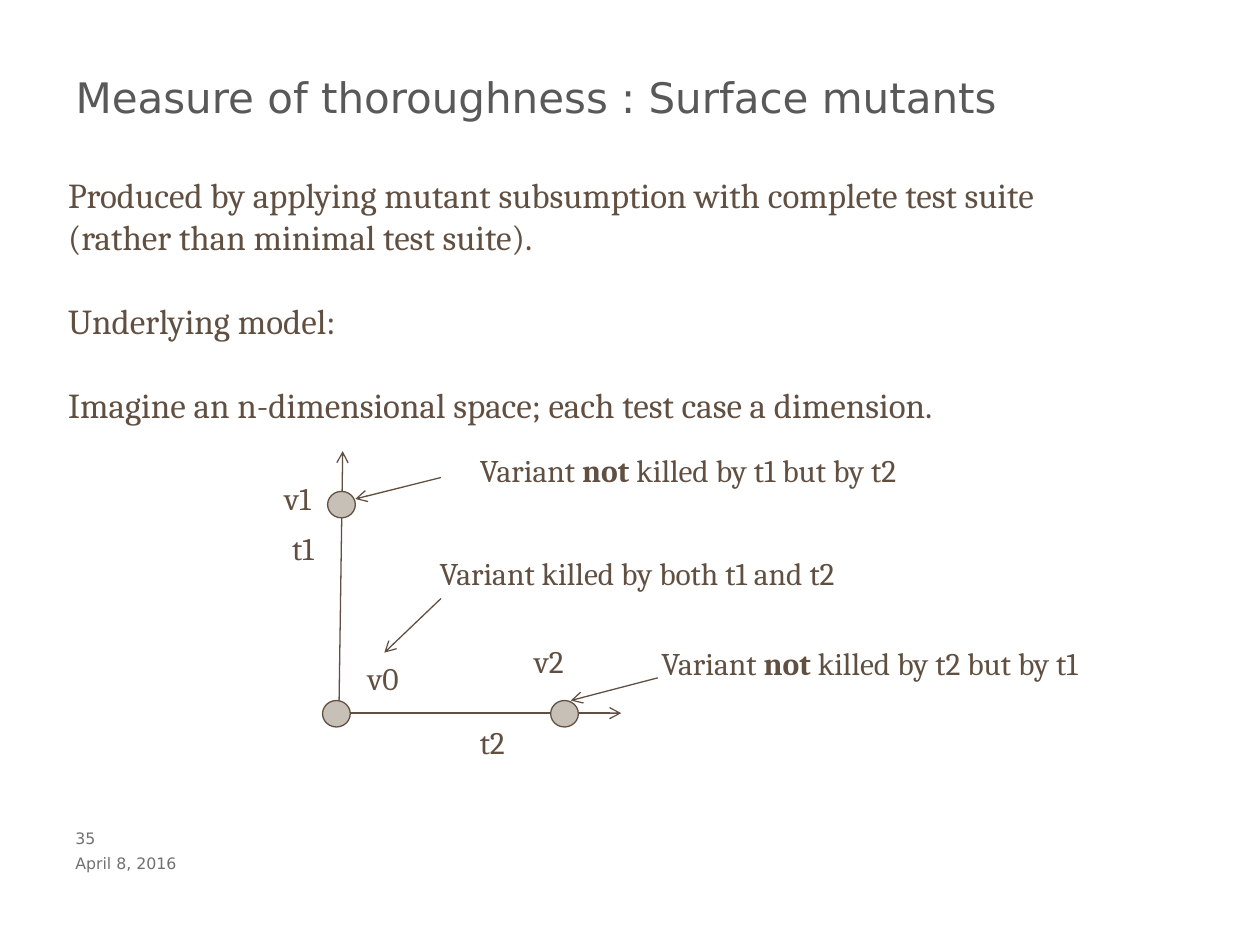
from lxml.etree import SubElement
from pptx import Presentation
from pptx.dml.color import RGBColor
from pptx.enum.shapes import MSO_CONNECTOR, MSO_SHAPE
from pptx.enum.text import MSO_ANCHOR, PP_ALIGN
from pptx.oxml.ns import qn
from pptx.util import Inches, Pt

BROWN, STONE, TITLE, GREY = "615042", "C6C0B7", "595959", "717171"


def paint(fmt, colour):
    fmt.rgb = RGBColor.from_string(colour)


def write(p, text, size=18, font="Cambria", colour=BROWN, before=0):
    p.alignment = PP_ALIGN.LEFT
    p.space_before = Pt(before)
    p.line_spacing = 1.0
    for i, part in enumerate(text.split("*")):
        r = p.add_run()
        r.text = part
        r.font.size = Pt(size)
        r.font.name = font
        r.font.bold = i % 2 == 1
        paint(r.font.color, colour)


prs = Presentation()
prs.slide_width, prs.slide_height = Inches(10), Inches(7.5)
col, row = prs.slide_width / 100, prs.slide_height / 75
s = prs.slides.add_slide(prs.slide_layouts[1])

title, body = s.placeholders
for sp, x, y, w, h in [(title, 5, 5, 90, 7.5), (body, 4.4, 13.3, 83.5, 24.6)]:
    sp.left, sp.top = int(x * col), int(y * row)
    sp.width, sp.height = int(w * col), int(h * row)
    sp.text_frame.vertical_anchor = MSO_ANCHOR.TOP
title.text_frame.margin_top = Inches(0.07)
write(title.text_frame.paragraphs[0], "Measure of thoroughness : Surface mutants",
      size=24, font="DejaVu Sans", colour=TITLE)

points = [
    "Produced by applying mutant subsumption with complete test suite "
    "(rather than minimal test suite).",
    "Underlying model:",
    "Imagine an n-dimensional space; each test case a dimension.",
]
tf = body.text_frame
for i, point in enumerate(points):
    p = tf.paragraphs[0] if i == 0 else tf.add_paragraph()
    pPr = p._p.get_or_add_pPr()
    pPr.set("marL", "0")
    pPr.set("indent", "0")
    SubElement(pPr, qn("a:buNone"))
    write(p, point, size=20, before=24 if i else 0)

for text, y, w in [("35", 65.5, 4), ("April 8, 2016", 67.5, 20)]:
    tf = s.shapes.add_textbox(int(5 * col), int(y * row), int(w * col), int(2 * row)).text_frame
    tf.word_wrap = True
    tf.margin_top = tf.margin_bottom = tf.margin_right = 0
    tf.vertical_anchor = MSO_ANCHOR.MIDDLE
    write(tf.paragraphs[0], text, size=9, font="DejaVu Sans", colour=GREY)

arrows = [
    (26.9, 56.6, 27.2, 35.8),
    (27.2, 56.6, 49.3, 56.6),
    (35, 47.5, 30.5, 51.8),
    (35, 37.9, 28.2, 39.6),
    (52.2, 53.8, 45.3, 55.6),
]
for x1, y1, x2, y2 in arrows:
    line = s.shapes.add_connector(MSO_CONNECTOR.STRAIGHT, int(x1 * col), int(y1 * row),
                                  int(x2 * col), int(y2 * row))
    line.line.width = Pt(0.75)
    paint(line.line.color, BROWN)
    SubElement(line.line._get_or_add_ln(), qn("a:tailEnd"), type="arrow")
    SubElement(line._element.spPr, qn("a:effectLst"))

for x, y in [(25.6, 55.6), (26, 39), (43.7, 55.6)]:
    dot = s.shapes.add_shape(MSO_SHAPE.OVAL, int(x * col), int(y * row),
                             int(2.2 * col), int(2.1 * row))
    dot.shadow.inherit = False
    dot.fill.solid()
    paint(dot.fill.fore_color, STONE)
    paint(dot.line.color, BROWN)
    dot.line.width = Pt(0.75)

labels = [
    ("t1", 22.2, 41.5, 4.2),
    ("t2", 37.1, 56.9, 4.3),
    ("v0", 28.2, 51.8, 4.7),
    ("v1", 21.6, 37.5, 4.7),
    ("v2", 41.4, 50.5, 4.7),
    ("Variant killed by both t1 and t2", 33.9, 43.5, 36.7),
    ("Variant *not* killed by t1 but by t2", 37.1, 35.3, 38.2),
    ("Variant* not *killed by t2 but by t1", 51.5, 50.6, 38.2),
]
for text, x, y, w in labels:
    tf = s.shapes.add_textbox(int(x * col), int(y * row), int(w * col), int(4 * row)).text_frame
    tf.word_wrap = False
    write(tf.paragraphs[0], text)

prs.save("out.pptx")
